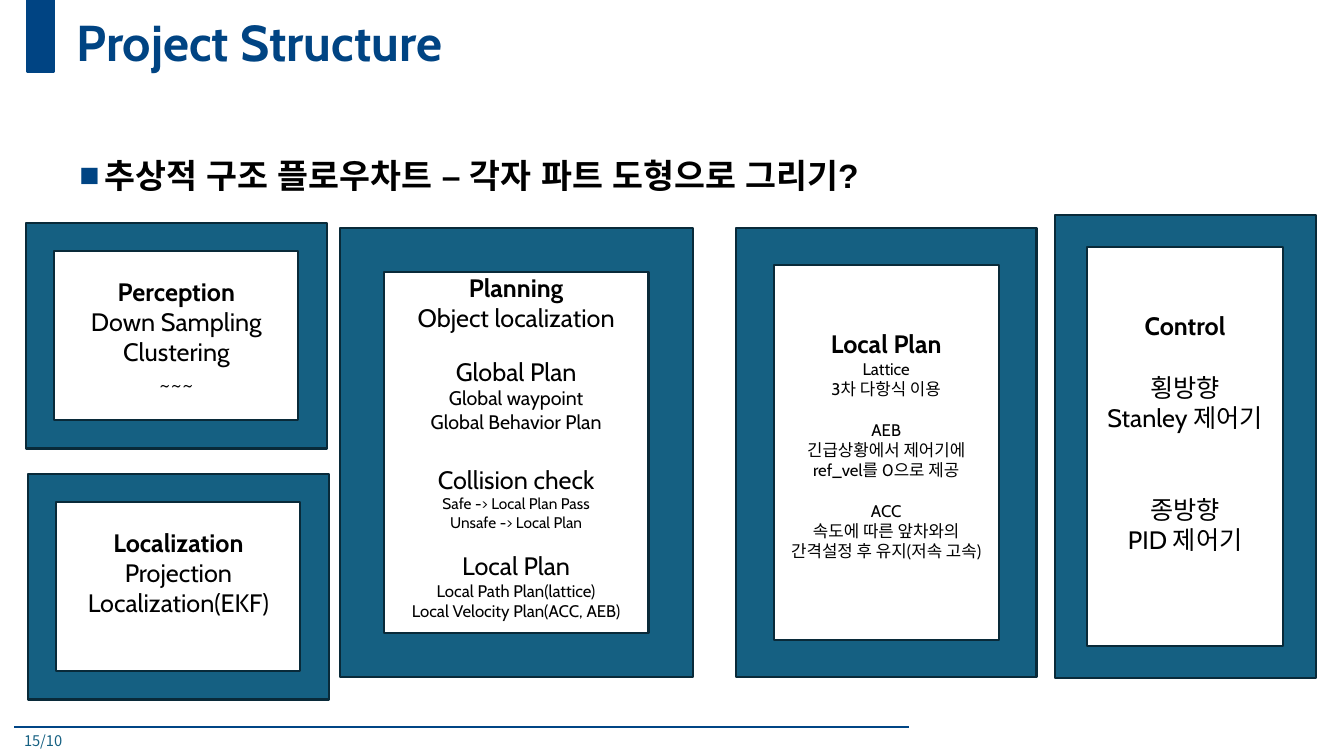
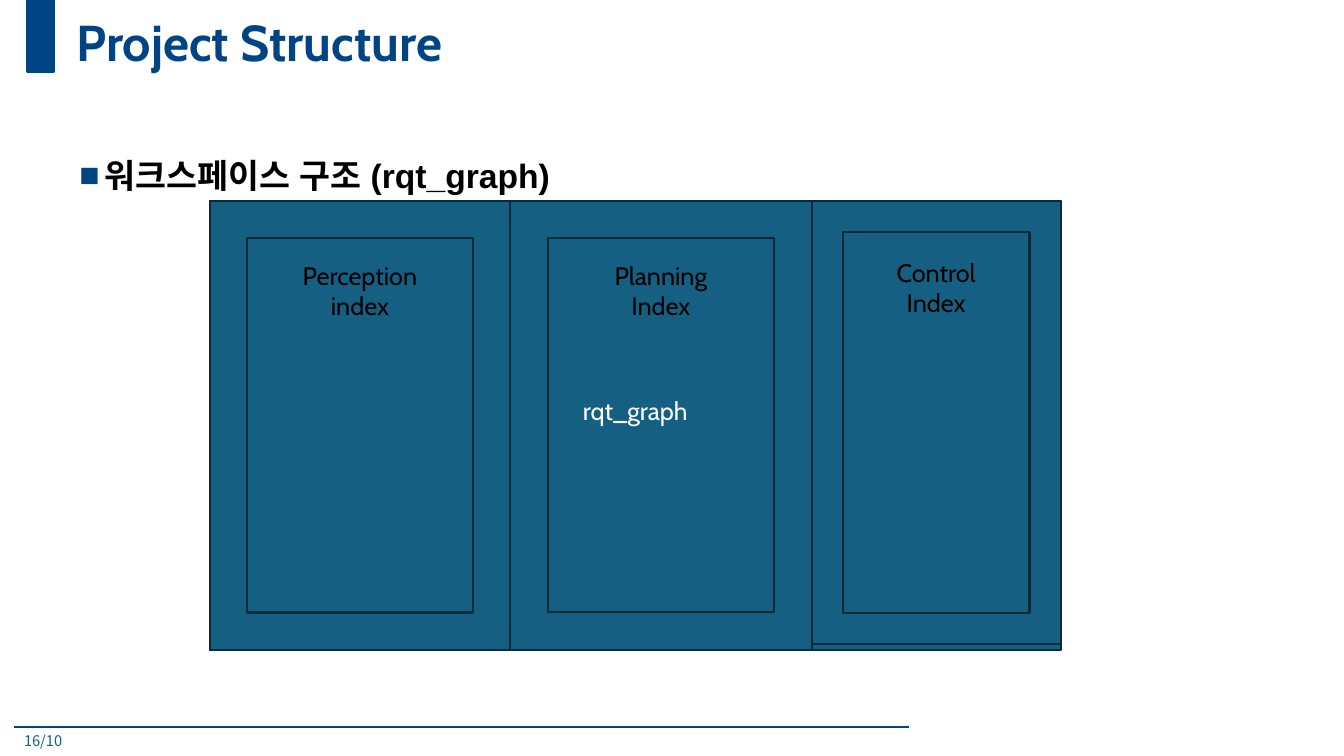
"""Build two project structure slides: a module overview and a workspace layout."""
from dataclasses import dataclass

from lxml import etree
from pptx import Presentation
from pptx import util as u
from pptx.dml.color import RGBColor
from pptx.enum import shapes, text
from pptx.oxml.ns import qn


@dataclass(frozen=True)
class Theme:
    """Colours, fonts and type sizes of the presentation."""
    navy: str = "004483"
    rule: str = "004585"
    teal: str = "156082"
    outline: str = "092A39"
    black: str = "000000"
    white: str = "FFFFFF"
    label_font: str = "Cabin"
    heading_font: str = "Arial"
    footer_font: str = "Noto Sans CJK KR"
    title: float = 36
    heading: float = 24
    label: float = 18
    detail: float = 14
    small: float = 12
    tiny: float = 11
    footer: float = 10.5
    stroke: float = 1.5


@dataclass(frozen=True)
class Box:
    """A region in inches."""
    left: float
    top: float
    width: float
    height: float

    def inner(self, left, top, width, height):
        """Return a region placed relative to this one."""
        return Box(self.left + left, self.top + top, width, height)

    def lengths(self):
        """Return the region as slide lengths."""
        return [u.Inches(value) for value in
                (self.left, self.top, self.width, self.height)]


@dataclass(frozen=True)
class Line:
    """One centred line of a module, with the gap above it in points."""
    text: str
    size: float = Theme.label
    bold: bool = False
    gap: float = 0


THEME = Theme()
PAGE = Box(0, 0, 13.33, 7.5)

PERCEPTION = [Line("Perception", bold=True), Line("Down Sampling"),
              Line("Clustering"), Line("~~~")]
LOCALIZATION = [Line("Localization", bold=True), Line("Projection"),
                Line("Localization(EKF)")]
PLANNING = [
    Line("Planning", bold=True),
    Line("Object localization"),
    Line("Global Plan", gap=17),
    Line("Global waypoint", THEME.detail),
    Line("Global Behavior Plan", THEME.detail),
    Line("Collision check", gap=22),
    Line("Safe -> Local Plan Pass", THEME.tiny),
    Line("Unsafe -> Local Plan", THEME.tiny),
    Line("Local Plan", gap=13.5),
    Line("Local Path Plan(lattice)", THEME.small),
    Line("Local Velocity Plan(ACC, AEB)", THEME.small),
]
LOCAL_PLAN = [
    Line("Local Plan", bold=True),
    Line("Lattice", THEME.small),
    Line("3차 다항식 이용", THEME.small),
    Line("AEB", THEME.small, gap=14.5),
    Line("긴급상황에서 제어기에 ref_vel를 0으로 제공", THEME.small),
    Line("ACC", THEME.small, gap=14.5),
    Line("속도에 따른 앞차와의 간격설정 후 유지(저속 고속)", THEME.small),
]
CONTROL = [
    Line("Control", bold=True),
    Line("횡방향", gap=22),
    Line("Stanley 제어기"),
    Line("종방향", gap=44),
    Line("PID 제어기"),
]


def add_run(paragraph, words, font, size, color, bold=False):
    """Add a styled run that uses one font for Latin and Korean letters."""
    run = paragraph.add_run()
    run.text = words
    run.font.name = font
    run.font.size = u.Pt(size)
    run.font.bold = bold
    run.font.color.rgb = RGBColor.from_string(color)
    run.font.fill.solid()
    run.font.color.rgb = RGBColor.from_string(color)
    latin = run.font._element.find(qn("a:latin"))
    east_asian = etree.Element(qn("a:ea"), typeface=font)
    latin.addnext(east_asian)


def add_text_box(slide, box, anchor=text.MSO_ANCHOR.TOP):
    """Add a wrapping text box and return its first paragraph."""
    frame = slide.shapes.add_textbox(*box.lengths()).text_frame
    frame.word_wrap = True
    frame.vertical_anchor = anchor
    return frame.paragraphs[0]


def add_panel(target, kind, box, fill, outline):
    """Add a flat filled shape to a shape collection."""
    shape = target.add_shape(kind, *box.lengths())
    shape.shadow.inherit = False
    shape.fill.solid()
    shape.fill.fore_color.rgb = RGBColor.from_string(fill)
    shape.line.color.rgb = RGBColor.from_string(outline)
    shape.line.width = u.Pt(THEME.stroke)
    return shape


def write_lines(shape, lines, color):
    """Write centred lines into a shape."""
    frame = shape.text_frame
    frame.word_wrap = True
    for index, line in enumerate(lines):
        paragraph = frame.add_paragraph() if index else frame.paragraphs[0]
        paragraph.alignment = text.PP_ALIGN.CENTER
        paragraph.space_before = u.Pt(line.gap)
        add_run(paragraph, line.text, THEME.label_font, line.size, color, line.bold)


def add_module(target, box, lines, inset):
    """Add a frame whose text starts at an inset below its inner edge."""
    shape = add_panel(target, shapes.MSO_SHAPE.FRAME, box, THEME.teal, THEME.outline)
    shape.text_frame.vertical_anchor = text.MSO_ANCHOR.TOP
    shape.text_frame.margin_top = u.Inches(inset)
    shape.text_frame.margin_bottom = 0
    write_lines(shape, lines, THEME.black)


def add_title(slide, box, words):
    """Add the corner tab and the slide title."""
    add_panel(slide.shapes, shapes.MSO_SHAPE.RECTANGLE,
              box.inner(0.27, 0, 0.27, 0.71), THEME.navy, THEME.navy)
    paragraph = add_text_box(slide, box.inner(0.66, 0, 11.96, 0.89),
                             text.MSO_ANCHOR.MIDDLE)
    paragraph.line_spacing = 0.9
    add_run(paragraph, words, THEME.label_font, THEME.title, THEME.navy, True)


def add_heading(slide, box, words):
    """Add the square-bulleted heading."""
    paragraph = add_text_box(slide, box)
    paragraph.line_spacing = 1.5
    paragraph.space_before = u.Pt(10)
    add_run(paragraph, words, THEME.heading_font, THEME.heading, THEME.black, True)
    properties = paragraph._p.get_or_add_pPr()
    properties.set("marL", str(u.Inches(0.25)))
    properties.set("indent", str(u.Inches(-0.25)))
    color = etree.SubElement(properties, qn("a:buClr"))
    etree.SubElement(color, qn("a:srgbClr"), val=THEME.navy)
    etree.SubElement(properties, qn("a:buFont"), typeface=THEME.heading_font)
    etree.SubElement(properties, qn("a:buChar"), char="■")


def add_footer(slide, box, number):
    """Add the footer rule and the page number."""
    rule = slide.shapes.add_connector(
        shapes.MSO_CONNECTOR.STRAIGHT, u.Inches(box.left), u.Inches(box.top),
        u.Inches(box.left + box.width), u.Inches(box.top))
    rule.line.color.rgb = RGBColor.from_string(THEME.rule)
    rule.line.width = u.Pt(THEME.stroke)
    etree.SubElement(rule._element.spPr, qn("a:effectLst"))
    paragraph = add_text_box(slide, box.inner(0, 0, 5.71, box.height))
    add_run(paragraph, number, THEME.footer_font, THEME.footer, THEME.teal)


def add_page(presentation, heading, number):
    """Add a slide with the shared title, heading and footer."""
    slide = presentation.slides.add_slide(presentation.slide_layouts[6])
    add_footer(slide, PAGE.inner(0.14, 7.21, 8.88, 0.29), number)
    add_title(slide, PAGE, "Project Structure")
    add_heading(slide, PAGE.inner(0.69, 1.29, 11.23, 5.44), heading)
    return slide


def add_flowchart(slide, box):
    """Place the five modules of the system."""
    modules = [
        (box.inner(0, 0.08, 2.98, 2.24), PERCEPTION, 0.25),
        (box.inner(0.02, 2.57, 2.98, 2.24), LOCALIZATION, 0.25),
        (box.inner(3.11, 0.13, 3.5, 4.46), PLANNING, 0),
        (box.inner(7.04, 0.13, 2.98, 4.46), LOCAL_PLAN, 0.63),
        (box.inner(10.2, 0, 2.59, 4.6), CONTROL, 0.63),
    ]
    for place, lines, inset in modules:
        add_module(slide.shapes, place, lines, inset)


def add_workspace(slide, box):
    """Place the grouped graph panel and its three columns."""
    group = slide.shapes.add_group_shape().shapes
    panel = add_panel(group, shapes.MSO_SHAPE.RECTANGLE, box,
                      THEME.teal, THEME.outline)
    panel.text_frame.vertical_anchor = text.MSO_ANCHOR.MIDDLE
    panel.text_frame.margin_bottom = u.Inches(0.35)
    write_lines(panel, [Line("rqt_graph")], THEME.white)
    columns = [
        ("Perception", "index", 2.98, box.height, 0.22),
        ("Planning", "Index", 2.99, box.height, 0.22),
        ("Control", "Index", 2.47, 4.4, 0.25),
    ]
    left = 0
    for name, label, width, height, inset in columns:
        add_module(group, box.inner(left, 0, width, height),
                   [Line(name), Line(label)], inset)
        left += width


def main():
    """Build and save the presentation."""
    presentation = Presentation()
    presentation.slide_width = u.Inches(PAGE.width)
    presentation.slide_height = u.Inches(PAGE.height)
    slide = add_page(presentation, "추상적 구조 플로우차트 – 각자 파트 도형으로 그리기?", "15/10")
    add_flowchart(slide, PAGE.inner(0.26, 2.13, 12.79, 4.81))
    slide = add_page(presentation, "워크스페이스 구조 (rqt_graph)", "16/10")
    add_workspace(slide, PAGE.inner(2.08, 1.99, 8.44, 4.46))
    presentation.save("out.pptx")


if __name__ == "__main__":
    main()
